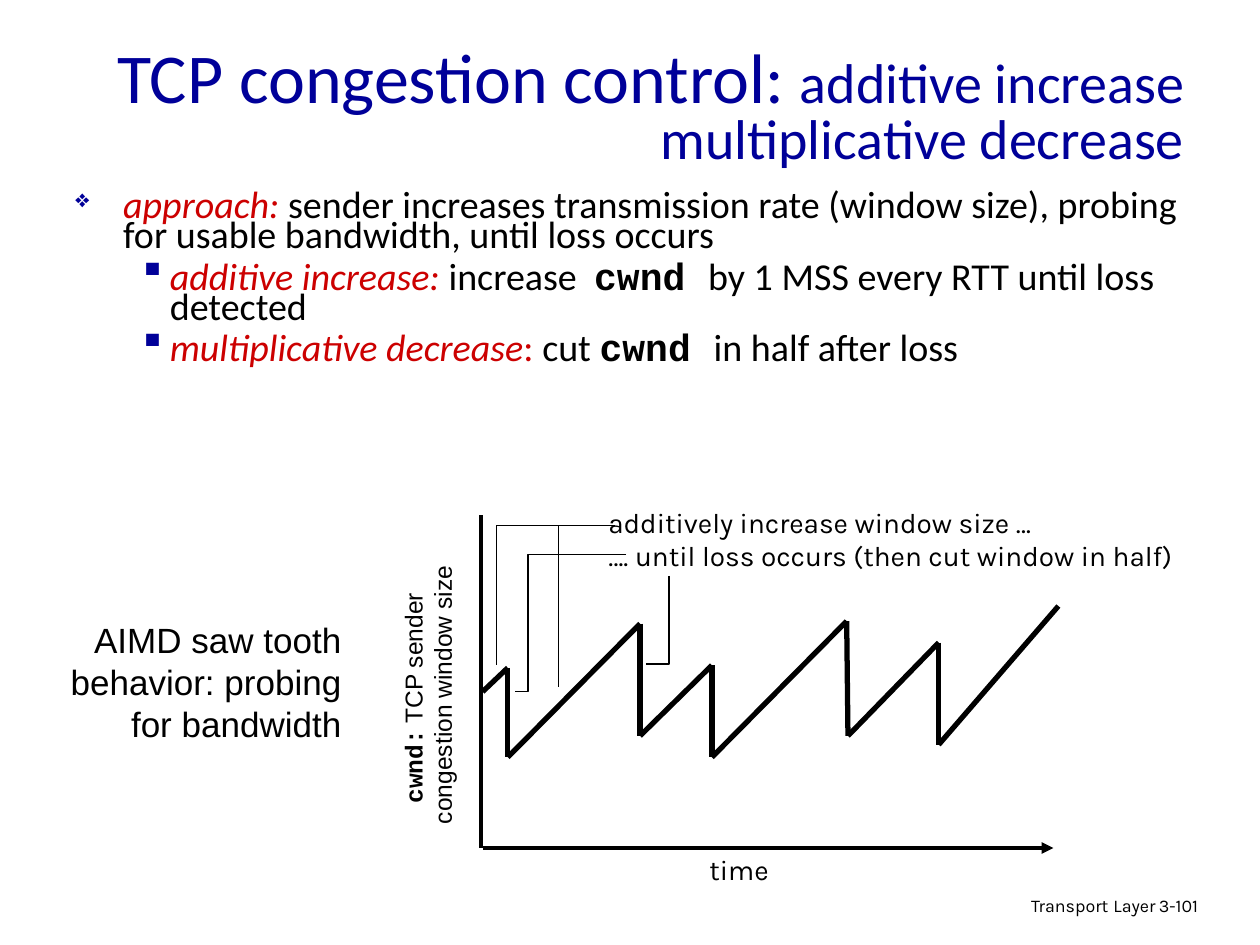
from dataclasses import dataclass
from itertools import pairwise

from lxml import etree
from pptx import Presentation
from pptx.dml.color import RGBColor
from pptx.enum.shapes import MSO_CONNECTOR
from pptx.enum.text import MSO_ANCHOR, MSO_AUTO_SIZE, PP_ALIGN
from pptx.oxml.ns import qn
from pptx.util import Inches, Pt

LEFT, CENTER, RIGHT = PP_ALIGN.LEFT, PP_ALIGN.CENTER, PP_ALIGN.RIGHT
TOP, MIDDLE = MSO_ANCHOR.TOP, MSO_ANCHOR.MIDDLE
FIT_SHAPE, FIT_NONE = MSO_AUTO_SIZE.SHAPE_TO_FIT_TEXT, MSO_AUTO_SIZE.NONE
STRAIGHT = MSO_CONNECTOR.STRAIGHT

COLORS = {"ink": "000000", "navy": "000099", "red": "CC0000", "paper": "FFFFFF"}


@dataclass(frozen=True)
class Run:
    text: str
    size: float
    font: str = "Calibri"
    color: str = "ink"
    bold: bool = False
    italic: bool = False


@dataclass(frozen=True)
class Bullet:
    symbol: str
    percent: int
    margin: float
    hanging: float


@dataclass(frozen=True)
class Line:
    runs: tuple[Run, ...]
    bullet: Bullet | None = None


BODY_SIZE = 21.7
DIAMOND = Bullet("❖", 65, 0.38, 0.38)
SQUARE = Bullet("▪", 100, 0.75, 0.25)


def body(text: str) -> Run:
    return Run(text, BODY_SIZE)


def term(text: str, italic: bool = True) -> Run:
    return Run(text, BODY_SIZE, color="red", italic=italic)


CWND = Run("cwnd ", BODY_SIZE, "Courier New", bold=True)

BODY_LINES = [
    Line((term("approach: "),
          body("sender increases transmission rate (window size), "
               "probing for usable bandwidth, until loss occurs")), DIAMOND),
    Line((term("additive increase:"), body(" increase  "), CWND,
          body("by 1 MSS every RTT until loss detected")), SQUARE),
    Line((term("multiplicative decrease"), term(":", italic=False),
          body(" cut "), CWND, body("in half after loss")), SQUARE),
]

SAWTOOTH = [
    (3.83, 5.49), (4.03, 5.3), (4.03, 6.01), (5.08, 4.95), (5.08, 5.84), (5.65, 5.28),
    (5.65, 6.01), (6.72, 4.93), (6.73, 5.84), (7.45, 5.1), (7.45, 5.91), (8.4, 4.81),
]

CALLOUTS = [
    [(4.88, 4.17), (3.94, 4.17), (3.94, 5.28)],
    [(4.97, 4.4), (4.19, 4.4), (4.19, 5.49), (4.09, 5.49)],
    [(4.88, 4.17), (4.43, 4.17), (4.43, 5.45)],
    [(5.31, 4.57), (5.31, 5.27), (5.13, 5.27)],
]


def rgb(name: str) -> RGBColor:
    return RGBColor.from_string(COLORS[name])


def set_bullet(paragraph, bullet: Bullet) -> None:
    properties = paragraph._p.get_or_add_pPr()
    properties.set("marL", str(Inches(bullet.margin)))
    properties.set("indent", str(-Inches(bullet.hanging)))
    color = etree.SubElement(properties, qn("a:buClr"))
    etree.SubElement(color, qn("a:srgbClr"), val=COLORS["navy"])
    etree.SubElement(properties, qn("a:buSzPct"), val=str(bullet.percent * 1000))
    etree.SubElement(properties, qn("a:buChar"), char=bullet.symbol)


def add_text(slide, box: tuple[float, ...], lines: list[Line], *, align=LEFT,
             anchor=TOP, spacing: float = 1.0, before: float = 0,
             wrap: bool = True, rotation: float = 0, fill: str | None = None):
    shape = slide.shapes.add_textbox(*map(Inches, box))
    shape.rotation = rotation
    if fill:
        shape.fill.solid()
        shape.fill.fore_color.rgb = rgb(fill)
    frame = shape.text_frame
    frame.word_wrap = wrap
    frame.auto_size = FIT_NONE if wrap else FIT_SHAPE
    frame.vertical_anchor = anchor
    for index, line in enumerate(lines):
        paragraph = frame.add_paragraph() if index else frame.paragraphs[0]
        paragraph.alignment = align
        paragraph.line_spacing = spacing
        paragraph.space_before = Pt(before)
        if line.bullet:
            set_bullet(paragraph, line.bullet)
        for item in line.runs:
            run = paragraph.add_run()
            run.text = item.text
            run.font.size = Pt(item.size)
            run.font.name = item.font
            run.font.bold = item.bold
            run.font.italic = item.italic
            run.font.color.rgb = rgb(item.color)
    return shape


def add_line(slide, start: tuple[float, float], end: tuple[float, float],
             width: float, arrow: bool = False) -> None:
    connector = slide.shapes.add_connector(STRAIGHT, *map(Inches, start + end))
    connector.line.color.rgb = rgb("ink")
    connector.line.width = Pt(width)
    if arrow:
        etree.SubElement(connector.line._get_or_add_ln(), qn("a:tailEnd"), type="triangle")
    etree.SubElement(connector._element.spPr, qn("a:effectLst"))


def add_callout(slide, points: list[tuple[float, float]]) -> None:
    corners = [(Inches(x), Inches(y)) for x, y in points]
    builder = slide.shapes.build_freeform(*corners[0])
    builder.add_line_segments(corners[1:], close=False)
    shape = builder.convert_to_shape()
    shape.shadow.inherit = False
    shape.fill.background()
    shape.line.color.rgb = rgb("ink")
    shape.line.width = Pt(0.75)


def plain_lines(texts: list[str], size: float, font: str) -> list[Line]:
    return [Line((Run(text, size, font),)) for text in texts]


def main() -> None:
    presentation = Presentation()
    presentation.slide_width = Inches(10)
    presentation.slide_height = Inches(7.5)
    slide = presentation.slides.add_slide(presentation.slide_layouts[6])

    footer = Line((Run("Transport", 10.2, "Karla"), Run(" ", 11.9, "Karla"),
                   Run("Layer", 10.2, "Karla")))
    add_text(slide, (6.1, 7.05, 3.17, 0.31), [footer], align=RIGHT, spacing=0.9)
    add_text(slide, (9.1, 7.07, 0.74, 0.3), plain_lines(["3-101"], 10.2, "Karla"), spacing=0.9)

    title = Line((Run("TCP congestion control: ", 40, color="navy"),
                  Run("additive increase multiplicative decrease", 32, color="navy")))
    add_text(slide, (0.25, 0.25, 9.25, 1.25), [title], align=RIGHT, anchor=MIDDLE, spacing=0.8)
    add_text(slide, (0.5, 1.5, 9.16, 1.58), BODY_LINES, spacing=0.65, before=7)

    axis_label = [Line((Run("cwnd:", 14, "Courier New", bold=True),
                        Run(" TCP sender ", 14, "Arial")))]
    axis_label += plain_lines(["congestion window size"], 14, "Arial")
    add_text(slide, (2.27, 5.23, 2.25, 0.57), axis_label, align=CENTER,
             wrap=False, rotation=270, fill="paper")
    caption = ["AIMD saw tooth", "behavior: probing", "for bandwidth"]
    add_text(slide, (0.46, 4.86, 2.35, 1.1), plain_lines(caption, 20, "Arial"),
             align=RIGHT, wrap=False)

    add_line(slide, (3.83, 6.73), (8.36, 6.73), 2.25, arrow=True)
    add_line(slide, (3.82, 4.09), (3.82, 6.73), 2.25)
    for start, end in pairwise(SAWTOOTH):
        add_line(slide, start, end, 3)

    notes = ["additively increase window size …", "…. until loss occurs (then cut window in half)"]
    add_text(slide, (4.73, 3.96, 4.78, 0.64), plain_lines(notes, 16, "Karla"), wrap=False)
    for points in CALLOUTS:
        add_callout(slide, points)
    add_text(slide, (5.53, 6.72, 0.67, 0.37), plain_lines(["time"], 16, "Karla"),
             align=CENTER, wrap=False)

    presentation.save("out.pptx")


if __name__ == "__main__":
    main()
